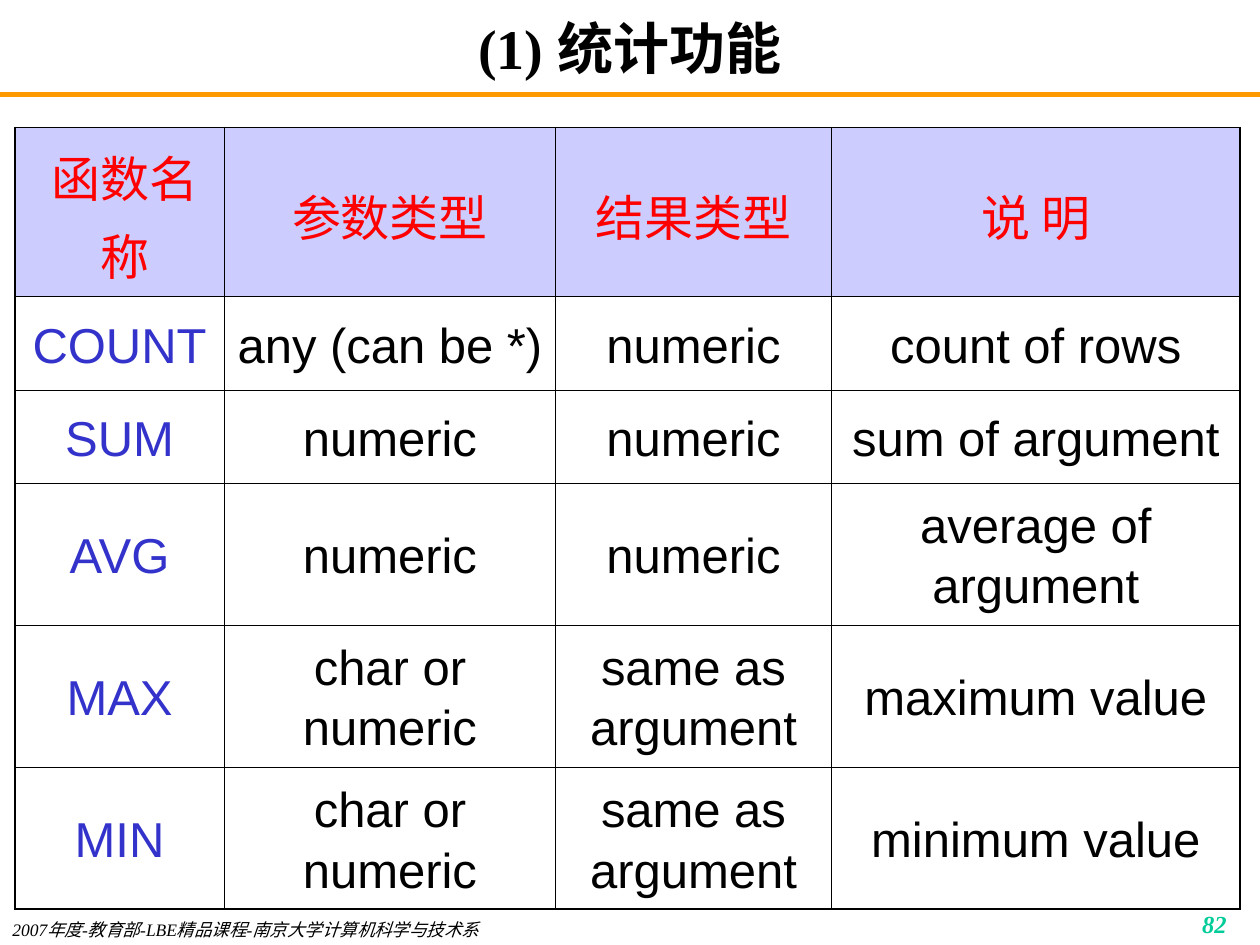
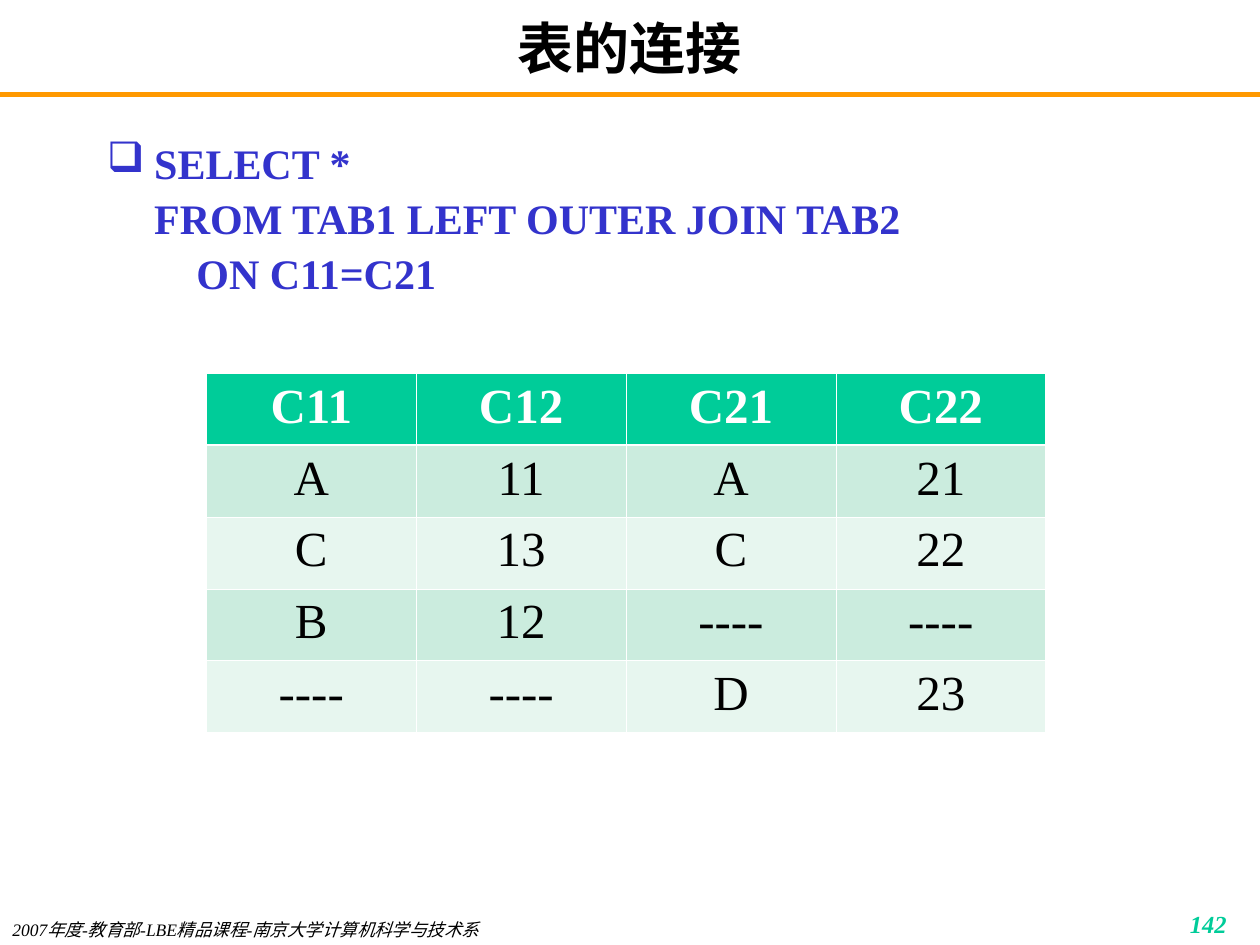
"""Build two SQL lecture slides: aggregate functions and a left outer join."""
from lxml.etree import SubElement
from pptx import Presentation
from pptx.dml.color import RGBColor
from pptx.enum.text import MSO_ANCHOR, PP_ALIGN
from pptx.oxml.ns import qn
from pptx.util import Cm, Pt

COLORS = {
    "ink": "000000", "paper": "FFFFFF", "rule": "FF9900", "accent": "00CC99",
    "code": "3333CC", "heading": "FF0000", "heading_fill": "CCCCFF",
    "band_dark": "CBECDE", "band_light": "E7F6EF",
}
SERIF, SANS = "Times New Roman", "Arial"
FOOTER = "2007年度-教育部-LBE精品课程-南京大学计算机科学与技术系"


def add_run(paragraph, text, size, color, font=SERIF, bold=False, italic=False):
    run = paragraph.add_run()
    run.text = text
    run.font.size, run.font.name = Pt(size), font
    run.font.bold, run.font.italic = bold, italic
    run.font.color.rgb = RGBColor.from_string(COLORS[color])


def add_grid(slide, rows, left, top, widths, heights, edge, outer, header_rule):
    grid = slide.shapes.add_table(len(rows), len(widths), Cm(left), Cm(top),
                                  Cm(sum(widths)), Cm(sum(heights))).table
    grid.first_row = grid.horz_banding = False
    for column, width in zip(grid.columns, widths):
        column.width = Cm(width)
    for row, height in zip(grid.rows, heights):
        row.height = Cm(height)
    last_row, last_column = len(rows) - 1, len(widths) - 1
    for r, values in enumerate(rows):
        for c, value in enumerate(values):
            cell = grid.cell(r, c)
            edges = {
                "lnL": outer if c == 0 else 0.45,
                "lnR": outer if c == last_column else 0.45,
                "lnT": outer if r == 0 else header_rule if r == 1 else 0.45,
                "lnB": outer if r == last_row else header_rule if r == 0 else 0.45,
            }
            for side, weight in edges.items():
                line = SubElement(cell._tc.get_or_add_tcPr(), qn(f"a:{side}"), w=str(Pt(weight)))
                SubElement(SubElement(line, qn("a:solidFill")), qn("a:srgbClr"), val=COLORS[edge])
            cell.text_frame.paragraphs[0].alignment = PP_ALIGN.CENTER
            yield r, c, cell, value


deck = Presentation()
deck.slide_width, deck.slide_height = Cm(25.4), Cm(19.05)
slides = []
for heading, number in [("(1) 统计功能", "82"), ("表的连接", "142")]:
    slide = deck.slides.add_slide(deck.slide_layouts[5])
    slides.append(slide)

    rule = slide.shapes.add_connector(1, 0, Cm(1.9), Cm(25.4), Cm(1.9))
    rule.line.color.rgb = RGBColor.from_string(COLORS["rule"])
    rule.line.width = Pt(3)
    SubElement(rule._element.spPr, qn("a:effectLst"))

    title = slide.shapes.title
    title.left, title.top, title.width, title.height = Cm(1.9), Cm(0.22), Cm(21.6), Cm(1.47)
    title.text_frame.vertical_anchor = MSO_ANCHOR.MIDDLE
    title.text_frame.paragraphs[0].alignment = PP_ALIGN.CENTER
    add_run(title.text_frame.paragraphs[0], heading, 32, "ink", bold=True)

    footer = slide.shapes.add_textbox(0, Cm(18.52), Cm(15.9), Cm(0.53)).text_frame
    footer.word_wrap = True
    footer.margin_top = footer.margin_bottom = 0
    add_run(footer.paragraphs[0], FOOTER, 10, "ink", italic=True)

    page = slide.shapes.add_textbox(Cm(19.7), Cm(18.21), Cm(5.28), Cm(0.64)).text_frame
    page.word_wrap = True
    page.paragraphs[0].alignment = PP_ALIGN.RIGHT
    add_run(page.paragraphs[0], number, 14, "accent", bold=True, italic=True)

functions_slide, join_slide = slides

functions = [
    ["函数名称", "参数类型", "结果类型", "说 明"],
    ["COUNT", "any (can be *)", "numeric", "count of rows"],
    ["SUM", "numeric", "numeric", "sum of argument"],
    ["AVG", "numeric", "numeric", "average of argument"],
    ["MAX", "char or numeric", "same as argument", "maximum value"],
    ["MIN", "char or numeric", "same as argument", "minimum value"],
]
for r, c, cell, value in add_grid(functions_slide, functions, 0.3, 2.57, [4.22, 6.68, 5.56, 8.24],
                                  [3.41] + [1.88] * 2 + [2.86] * 3, "ink", 1.08, 0.45):
    cell.vertical_anchor = MSO_ANCHOR.MIDDLE
    paragraph = cell.text_frame.paragraphs[0]
    paragraph.line_spacing, paragraph.space_before = 1.1, Pt(7)
    if r == 0:
        cell.fill.solid()
        cell.fill.fore_color.rgb = RGBColor.from_string(COLORS["heading_fill"])
    else:
        cell.fill.background()
    if r == c == 0:
        cell.margin_right = Cm(0.05)
    add_run(paragraph, value, 28, "heading" if r == 0 else "code" if c == 0 else "ink", SANS)

query = join_slide.shapes.add_textbox(Cm(1.91), Cm(2.54), Cm(21.6), Cm(15.04)).text_frame
query.word_wrap = True
clauses = [("SELECT *", 0.95), ("FROM TAB1 LEFT OUTER JOIN TAB2", 0.95), ("ON C11=C21", 1.8)]
for i, (clause, indent) in enumerate(clauses):
    paragraph = query.add_paragraph() if i else query.paragraphs[0]
    paragraph.line_spacing, paragraph.space_before = 1.1, Pt(0 if i else 6)
    properties = paragraph._p.get_or_add_pPr()
    properties.set("marL", str(Cm(indent)))
    if i == 0:
        properties.set("indent", str(-Cm(indent)))
        SubElement(SubElement(properties, qn("a:buClr")), qn("a:srgbClr"), val=COLORS["code"])
        SubElement(properties, qn("a:buFont"), typeface="Wingdings", charset="2")
        SubElement(properties, qn("a:buChar"), char="q")
    add_run(paragraph, clause, 24, "code", bold=True)

joined = [
    ["C11", "C12", "C21", "C22"],
    ["A", "11", "A", "21"],
    ["C", "13", "C", "22"],
    ["B", "12", "----", "----"],
    ["----", "----", "D", "23"],
]
for r, c, cell, value in add_grid(join_slide, joined, 4.16, 7.53, [4.23] * 4,
                                  [1.44] + [1.45] * 4, "paper", 0.45, 1.47):
    band = "accent" if r == 0 else "band_dark" if r % 2 else "band_light"
    cell.fill.solid()
    cell.fill.fore_color.rgb = RGBColor.from_string(COLORS[band])
    add_run(cell.text_frame.paragraphs[0], value, 28, "ink" if r else "paper", bold=r == 0)

deck.save("out.pptx")
